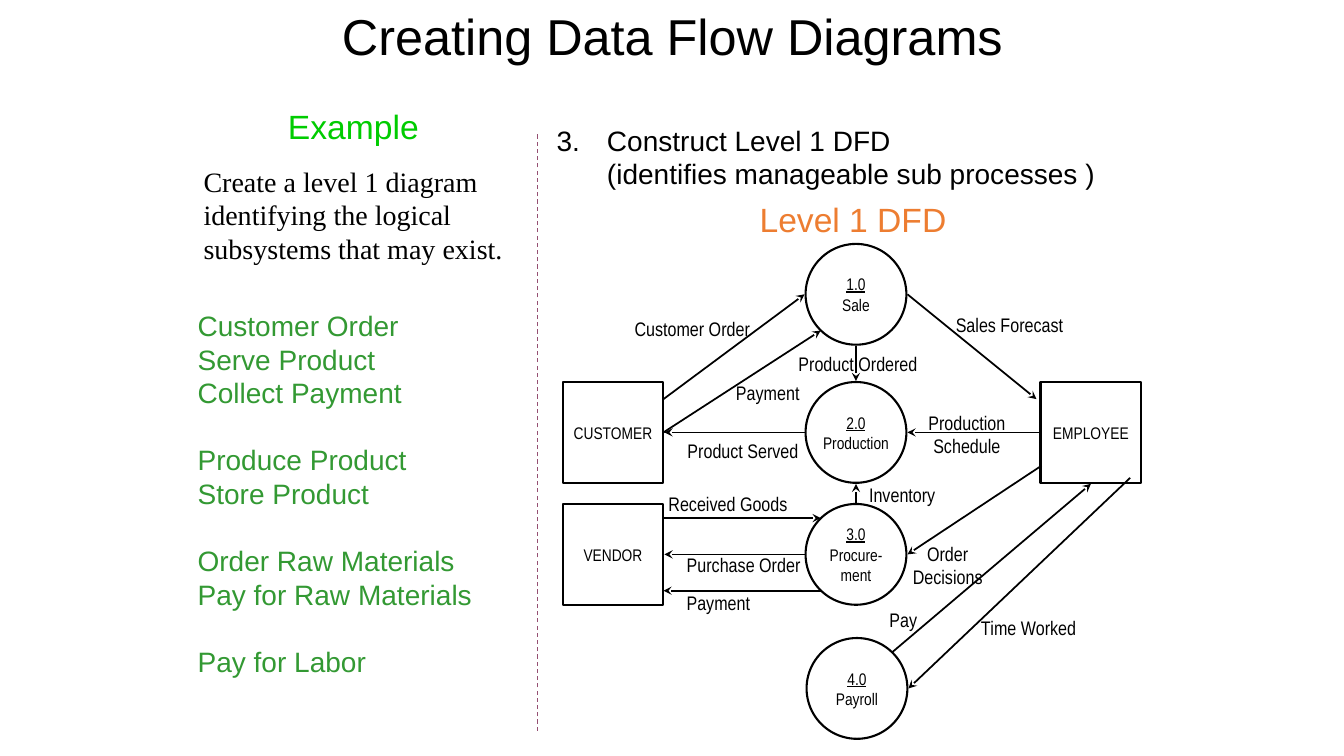
from pptx import Presentation
from pptx.dml.color import RGBColor
from pptx.enum import dml, shapes, text
from pptx.oxml.ns import qn
from pptx.util import Inches, Pt
from lxml import etree

BLACK = RGBColor(0, 0, 0)
ORANGE = RGBColor(0xED, 0x7D, 0x31)
BRIGHT_GREEN = RGBColor(0x00, 0xCC, 0x00)
LEAF_GREEN = RGBColor(0x33, 0x99, 0x33)
PURPLE = RGBColor(0x95, 0x4F, 0x72)
LEFT, CENTER, RIGHT = text.PP_ALIGN.LEFT, text.PP_ALIGN.CENTER, text.PP_ALIGN.RIGHT
TOP, MIDDLE = text.MSO_ANCHOR.TOP, text.MSO_ANCHOR.MIDDLE


def write(shape, lines, size=20, font="Arial", color=BLACK, align=LEFT,
          anchor=TOP, side=0.1, underline_first=False):
    """Fill a shape with one paragraph per line; side is the left and right inset."""
    frame = shape.text_frame
    frame.word_wrap = True
    frame.auto_size = text.MSO_AUTO_SIZE.NONE
    frame.vertical_anchor = anchor
    frame.margin_left = frame.margin_right = Inches(side)
    frame.margin_top = frame.margin_bottom = Inches(0.05)
    for i, line in enumerate(lines):
        paragraph = frame.paragraphs[0] if i == 0 else frame.add_paragraph()
        paragraph.text = line
        paragraph.alignment = align
        paragraph.space_before = Pt(0)
        for run in paragraph.runs:
            run.font.size = Pt(size)
            run.font.name = font
            run.font.color.rgb = color
            run.font.underline = underline_first and i == 0


def connect(start, end, color, width):
    line = slide.shapes.add_connector(
        shapes.MSO_CONNECTOR.STRAIGHT, *map(Inches, start + end))
    line.line.color.rgb = color
    line.line.width = Pt(width)
    etree.SubElement(line._element.spPr, qn("a:effectLst"))
    return line.line


prs = Presentation()
prs.slide_width, prs.slide_height = Inches(13.33), Inches(7.5)
slide = prs.slides.add_slide(prs.slide_layouts[3])
title, subsystems, step = slide.placeholders

# Title and the two lists
for holder, box in [(title, (1.67, 0, 10, 0.7)),
                    (subsystems, (1.86, 3.01, 3.33, 4.1)),
                    (step, (5.42, 1.17, 6.25, 0.77))]:
    holder.left, holder.top, holder.width, holder.height = map(Inches, box)

write(title, ["Creating Data Flow Diagrams"], size=36, align=CENTER)

groups = [
    ["Customer Order", "Serve Product", "Collect Payment"],
    ["Produce Product", "Store Product"],
    ["Order Raw Materials", "Pay for Raw Materials"],
    ["Pay for Labor"],
]
write(subsystems, [name for group in groups for name in group], color=LEAF_GREEN)
group_starts = [group[0] for group in groups[1:]]
for paragraph in subsystems.text_frame.paragraphs:
    properties = paragraph._p.get_or_add_pPr()
    properties.set("marL", "0")
    properties.set("indent", "0")
    if paragraph.text in group_starts:
        paragraph.space_before = Pt(24)
    etree.SubElement(properties, qn("a:buNone"))

write(step, ["Construct Level 1 DFD \n(identifies manageable sub processes )"])
properties = step.text_frame.paragraphs[0]._p.get_or_add_pPr()
properties.set("marL", str(Inches(0.5)))
properties.set("indent", str(Inches(-0.5)))
etree.SubElement(properties, qn("a:buFont"), typeface="+mj-lt")
etree.SubElement(properties, qn("a:buAutoNum"), type="arabicPeriod", startAt="3")

# Headings, task and divider
captions = [
    ("Level 1 DFD", (5.25, 1.92, 6.42, 0.5),
     dict(size=24, color=ORANGE, align=CENTER)),
    ("Example", (1.67, 1, 3.67, 0.5),
     dict(size=24, color=BRIGHT_GREEN, align=CENTER)),
    ("Create a level 1 diagram identifying the logical subsystems that may exist.",
     (1.92, 1.58, 3.42, 1.1), dict(font="Times New Roman")),
]
for caption, box, style in captions:
    write(slide.shapes.add_textbox(*map(Inches, box)), [caption], **style)

divider = connect((5.33, 7.25), (5.33, 1.33), PURPLE, 0.75)
divider.dash_style = dml.MSO_LINE.DASH

# Processes and external entities
CIRCLE, SQUARE = shapes.MSO_SHAPE.OVAL, shapes.MSO_SHAPE.RECTANGLE
nodes = [
    (CIRCLE, 7.99, 2.42, ["1.0", "Sale"], 0.02),
    (CIRCLE, 7.99, 3.79, ["2.0", "Production"], 0.02),
    (CIRCLE, 7.99, 5, ["3.0", "Procure-ment"], 0),
    (CIRCLE, 8, 6.33, ["4.0", "Payroll"], 0),
    (SQUARE, 5.58, 3.79, ["CUSTOMER"], 0.05),
    (SQUARE, 5.58, 5, ["VENDOR"], 0.05),
    (SQUARE, 10.32, 3.79, ["EMPLOYEE"], 0.05),
]
for outline, x, y, lines, side in nodes:
    node = slide.shapes.add_shape(outline, Inches(x), Inches(y), Inches(1), Inches(1))
    node.shadow.inherit = False
    node.fill.background()
    node.line.color.rgb = BLACK
    node.line.width = Pt(1.5)
    write(node, lines, size=12, font="Arial Narrow", align=CENTER, anchor=MIDDLE,
          side=side, underline_first=outline == CIRCLE)

# Flows: label, label position, label alignment, arrow start, arrow end
flows = [
    ("Customer Order", (5.75, 3.12), RIGHT, (6.58, 3.96), (7.98, 2.92)),
    ("Payment", (7.25, 3.75), LEFT, (6.58, 4.29), (8.14, 3.28)),
    ("Product Ordered", (7.64, 3.46), CENTER, (8.49, 3.43), (8.49, 3.78)),
    ("Sales Forecast", (9.43, 3.08), LEFT, (9, 2.92), (10.28, 3.96)),
    ("Product Served", (6.5, 4.33), CENTER, (7.98, 4.29), (6.59, 4.29)),
    ("Production\nSchedule", (8.72, 4.16), CENTER, (10.31, 4.29), (9, 4.29)),
    ("Inventory", (8.57, 4.76), LEFT, (8.49, 4.99), (8.49, 4.8)),
    ("Received Goods", (6.58, 4.85), LEFT, (6.58, 5.14), (8.14, 5.14)),
    ("Purchase Order", (6.25, 5.46), RIGHT, (7.98, 5.5), (6.59, 5.5)),
    ("Payment", (6.76, 5.83), LEFT, (8.14, 5.86), (6.58, 5.86)),
    ("Order\nDecisions", (8.53, 5.46), CENTER, (10.33, 4.62), (9, 5.5)),
    ("Pay", (8.09, 6), CENTER, (8.85, 6.47), (10.82, 4.8)),
    ("Time Worked", (9.68, 6.08), LEFT, (11.21, 4.74), (9.01, 6.83)),
]
for label, (x, y), align, start, end in flows:
    arrow = connect(start, end, BLACK, 1.25)
    etree.SubElement(arrow._get_or_add_ln(), qn("a:tailEnd"), type="stealth")
    label_box = slide.shapes.add_textbox(Inches(x), Inches(y), Inches(1.74), Inches(0.29))
    write(label_box, [label], size=14, font="Arial Narrow", align=align,
          anchor=MIDDLE, side=0.05)

prs.save("out.pptx")
